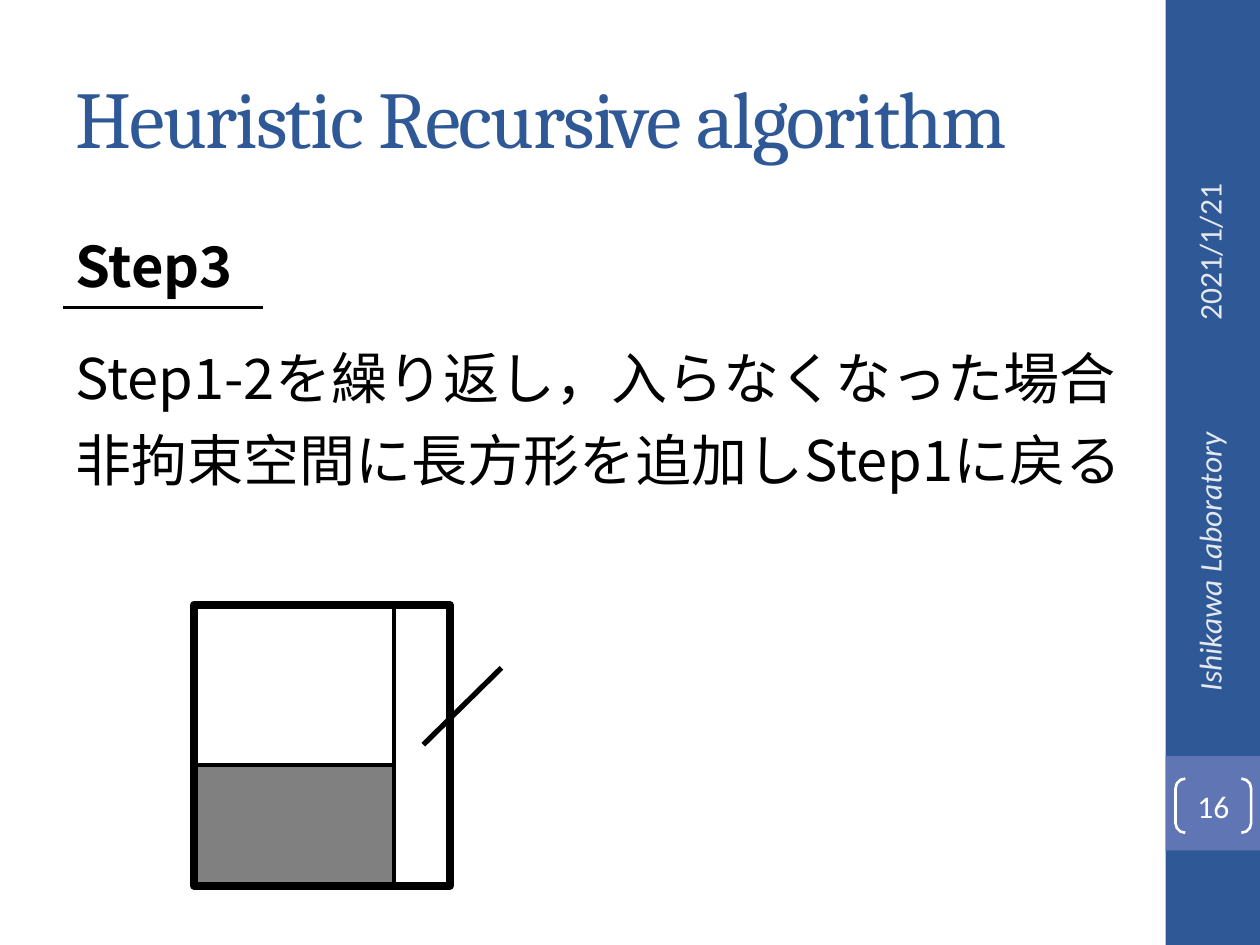
from lxml.etree import SubElement
from pptx import Presentation
from pptx.dml.color import RGBColor
from pptx.enum.shapes import MSO_CONNECTOR, MSO_SHAPE
from pptx.enum.text import MSO_ANCHOR as Anchor, PP_ALIGN as Align
from pptx.oxml.ns import qn
from pptx.util import Inches, Pt

NAVY = RGBColor(0x2F, 0x58, 0x97)
PERIWINKLE = RGBColor(0x60, 0x76, 0xB4)
PALE = RGBColor(0xE4, 0xE9, 0xEF)
WHITE = RGBColor(0xFF, 0xFF, 0xFF)
BLACK = RGBColor(0, 0, 0)
GRAY = RGBColor(0x80, 0x80, 0x80)
JAPANESE = "Noto Sans CJK JP"

deck = Presentation()
deck.slide_width, deck.slide_height = Inches(10), Inches(7.5)
page = deck.slides.add_slide(deck.slide_layouts[6])
CELL = deck.slide_width / 100


def grid(*cells):
    return [round(cell * CELL) for cell in cells]


def write(box, text, font_name, size, color, align=Align.LEFT, anchor=Anchor.MIDDLE):
    frame = box.text_frame
    frame.word_wrap = True
    frame.vertical_anchor = anchor
    para = frame.paragraphs[0]
    span = para.add_run()
    span.text = text
    para.alignment = align
    para.font.name, para.font.size = font_name, Pt(size)
    para.font.color.rgb = color
    return para


SIDE = 92.5
BAND = 7.5
for top, height, color in [(0, 75, NAVY), (60, BAND, PERIWINKLE)]:
    band = page.shapes.add_shape(MSO_SHAPE.RECTANGLE, *grid(SIDE, top, BAND, height))
    band.shadow.inherit = False
    band.fill.solid()
    band.fill.fore_color.rgb = color
    band.line.fill.background()

title = page.shapes.add_textbox(*grid(5, 3, 83.3, 12.5))
heading = write(title, "Heuristic Recursive algorithm", "Cambria", 46, NAVY)
heading.runs[0].font._element.set("spc", "-100")

for text, left, top, width, align, italic in [
    ("2021/1/21", 82.6, 18, 26.7, Align.CENTER, False),
    ("Ishikawa Laboratory", 83, 44.3, 25.9, Align.RIGHT, True),
]:
    label = page.shapes.add_textbox(*grid(left, top, width, 4))
    label.rotation = 270
    write(label, text, "Calibri", 18, PALE, align).font.italic = italic

number = page.shapes.add_shape(MSO_SHAPE.DOUBLE_BRACKET, *grid(93.3, 61.8, 6, 4.3))
number.adjustments[0] = 0.18
number.shadow.inherit = False
number.fill.background()
number.line.color.rgb, number.line.width = WHITE, Pt(1.5)
frame = number.text_frame
frame.margin_left = frame.margin_right = frame.margin_top = frame.margin_bottom = 0
write(number, "16", "Calibri", 18, WHITE, Align.CENTER)

for text, top, bold in [
    ("Step3", 18.6, True),
    ("Step1-2を繰り返し，入らなくなった場合", 27.5, False),
    ("非拘束空間に長方形を追加しStep1に戻る", 34, False),
]:
    step = page.shapes.add_textbox(*grid(5, top, 87.5, 5.7))
    para = write(step, text, JAPANESE, 32, BLACK, anchor=Anchor.TOP)
    para.line_spacing = Pt(33)
    para.font.bold = bold
    properties = para.runs[0].font._element
    SubElement(properties, qn("a:ea")).set("typeface", JAPANESE)

LEFT, TOP, BOTTOM, SPLIT = 15.4, 48, 70.3, 31.3
for top, width, fill, weight in [(60.7, SPLIT - LEFT, GRAY, 2), (TOP, 20.3, None, 4.5)]:
    block = page.shapes.add_shape(MSO_SHAPE.RECTANGLE, *grid(LEFT, top, width, BOTTOM - top))
    block.shadow.inherit = False
    if fill is None:
        block.fill.background()
    else:
        block.fill.solid()
        block.fill.fore_color.rgb = fill
    block.line.color.rgb, block.line.width = BLACK, Pt(weight)

for ends, weight in [
    ((5, 24.4, 20.9, 24.4), 1.5),
    ((SPLIT, BOTTOM, SPLIT, TOP), 2.25),
    ((39.8, 53, 33.6, 59.1), 3),
]:
    line = page.shapes.add_connector(MSO_CONNECTOR.STRAIGHT, *grid(*ends))
    line.line.color.rgb, line.line.width = BLACK, Pt(weight)
    SubElement(line._element.spPr, qn("a:effectLst"))

deck.save("out.pptx")
